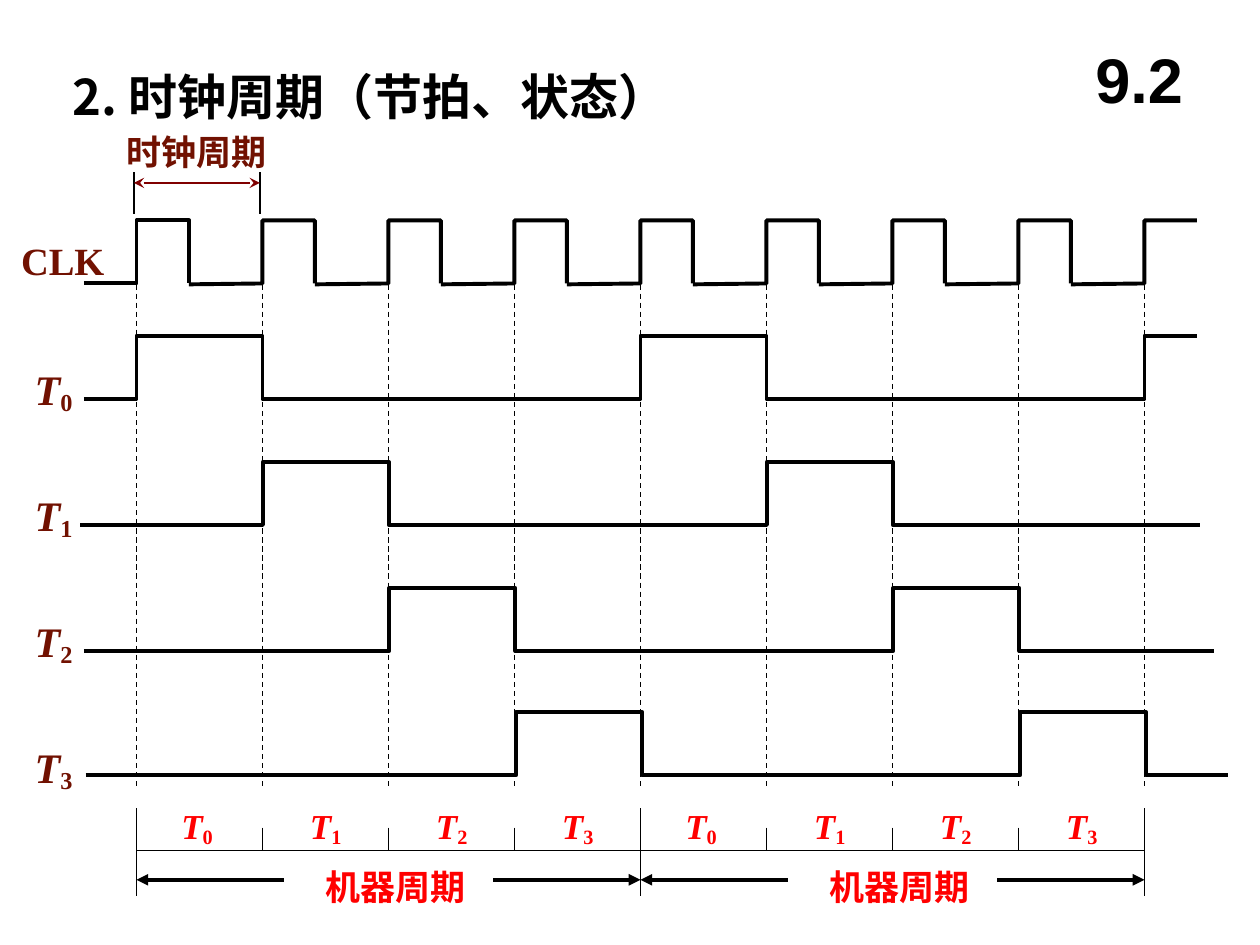
from lxml import etree
from pptx import Presentation
from pptx.dml.color import RGBColor
from pptx.enum import dml, shapes, text
from pptx.oxml import ns
from pptx.util import Pt

BLACK = RGBColor(0, 0, 0)
BROWN = RGBColor(0x71, 0x11, 0x01)
MAROON = RGBColor(0x80, 0, 0)
RED = RGBColor(0xFF, 0, 0)
SERIF = "Times New Roman"
SANS = "Noto Sans CJK SC"

LEFT, CYCLE, PULSE = 78, 72, 36  # first edge, clock period, pulse height
HALF = 30  # high part of a clock period
COUNT = 8
EDGES = [LEFT + i * CYCLE for i in range(COUNT + 1)]


def add_run(par, words, size, color, font=SERIF, italic=False, base=0):
    run = par.add_run()
    run.text = words
    f = run.font
    f.size, f.name, f.bold, f.italic = Pt(size), font, True, italic
    f.color.rgb = color
    if base:
        run._r.get_or_add_rPr().set("baseline", str(base * 1000))


def add_text(parent, box, words, size, color, sub=None, font=SERIF,
             align=text.PP_ALIGN.LEFT, anchor=text.MSO_ANCHOR.TOP):
    """Add a label; with sub, the words are italic and sub is a subscript."""
    frame = parent.add_textbox(*map(Pt, box)).text_frame
    frame.word_wrap = False
    frame.vertical_anchor = anchor
    par = frame.paragraphs[0]
    par.alignment = align
    add_run(par, words, size, color, font, italic=sub is not None)
    if sub is not None:
        add_run(par, str(sub), size, color, font, base=-15)


def add_line(parent, x1, y1, x2, y2, width=0.75, color=BLACK,
             dash=False, head=None, tail=None):
    line = parent.add_connector(shapes.MSO_CONNECTOR.STRAIGHT,
                                *map(Pt, (x1, y1, x2, y2)))
    line.line.width = Pt(width)
    line.line.color.rgb = color
    if dash:
        line.line.dash_style = dml.MSO_LINE.DASH
    stroke = line.line._get_or_add_ln()
    for tag, kind in (("a:headEnd", head), ("a:tailEnd", tail)):
        if kind:
            etree.SubElement(stroke, ns.qn(tag), type=kind)
    etree.SubElement(line._element.spPr, ns.qn("a:effectLst"))


def add_wave(parent, points):
    start, *rest = [(Pt(x), Pt(y)) for x, y in points]
    pen = parent.build_freeform(*start)
    pen.add_line_segments(rest, close=False)
    wave = pen.convert_to_shape()
    wave.fill.background()
    wave.line.color.rgb = BLACK
    wave.line.width = Pt(2.25)
    wave.shadow.inherit = False


def add_title(slide):
    title = slide.shapes.title
    title.left, title.top, title.width, title.height = map(Pt, (34.5, 34.5, 379, 50))
    frame = title.text_frame
    frame.word_wrap = False
    frame.auto_size = text.MSO_AUTO_SIZE.NONE
    frame.vertical_anchor = text.MSO_ANCHOR.TOP
    par = frame.paragraphs[0]
    par.alignment = text.PP_ALIGN.LEFT
    add_run(par, "2. 时钟周期", 28, BLACK, SANS)
    add_run(par, "（节拍、状态）", 28, BLACK)


def add_clock(parent):
    top, low = 126, 162
    group = parent.add_group_shape().shapes
    for x in EDGES:
        first, last = x == EDGES[0], x == EDGES[-1]
        points = [(x - (30 if first else 42), low if first else low + 0.5),
                  (x, low), (x, top), (x + HALF, top)]
        add_wave(group, points if last else points + [(x + HALF, low)])
    for x in EDGES:
        add_line(group, x, 142, x, 450, dash=True)
    add_text(parent, (5, 132, 62, 34), "CLK", 22, BROWN)


def add_beat(parent, k, start, end, shift):
    """Draw beat signal k, which is high for one clock period in four."""
    low = 228 + k * CYCLE - (1 if k == 3 else 0)
    points = [(start, low)]
    for x in EDGES[k::4]:
        x += shift
        points += [(x, low), (x, low - PULSE)]
        if x + CYCLE < end:
            points += [(x + CYCLE, low - PULSE), (x + CYCLE, low)]
    add_wave(parent, points + [(end, points[-1][1])])
    add_text(parent, (12.75, 204 + k * CYCLE, 37, 37), "T", 24, BROWN, sub=k)


def add_period(parent):
    ends = LEFT - 1.5, LEFT - 1.5 + CYCLE
    for x in ends:
        add_line(parent, x, 98.5, x, 122.5, 1.5)
    add_line(parent, ends[0], 104.5, ends[1], 104.5, 1.5, MAROON,
             head="stealth", tail="stealth")
    add_text(parent, (65.25, 71.25, 100, 32), "时钟周期", 20, BROWN)


def add_ruler(parent):
    axis, mid = 486, 502.75
    group = parent.add_group_shape().shapes
    add_line(group, EDGES[0], axis, EDGES[-1], axis)
    for i, x in enumerate(EDGES):
        y1, y2 = (473, axis) if i % 4 else (462, 512)
        add_line(group, x, y1, x, y2)
    for i, x in enumerate(EDGES[:-1]):
        k = i % 4
        add_text(group, (x + (20 if k else 18.5), 456, 38, 32), "T", 20, RED, sub=k)
    for x in EDGES[:-1:4]:
        stop = x + 4 * CYCLE
        add_line(group, x + 84, mid, x, mid, 2.25, tail="triangle")
        add_line(group, stop - 84, mid, stop, mid, 2.25, tail="triangle")
        add_text(group, (x + 101, 490.75, 100, 32), "机器周期", 20, RED)


def main():
    deck = Presentation()
    deck.slide_width, deck.slide_height = Pt(720), Pt(540)
    slide = deck.slides.add_slide(deck.slide_layouts[5])
    parent = slide.shapes
    add_title(slide)
    spans = [(48, 684, 0), (46, 685.5, 0.25), (48, 694, 0.5), (49, 702, 1)]
    for k, span in enumerate(spans):
        add_beat(parent, k, *span)
    add_clock(parent)
    add_period(parent)
    add_ruler(parent)
    add_text(parent, (606, 12, 90, 66), "9.2", 36, BLACK, font="Arial",
             align=text.PP_ALIGN.CENTER, anchor=text.MSO_ANCHOR.MIDDLE)
    deck.save("out.pptx")


if __name__ == "__main__":
    main()
